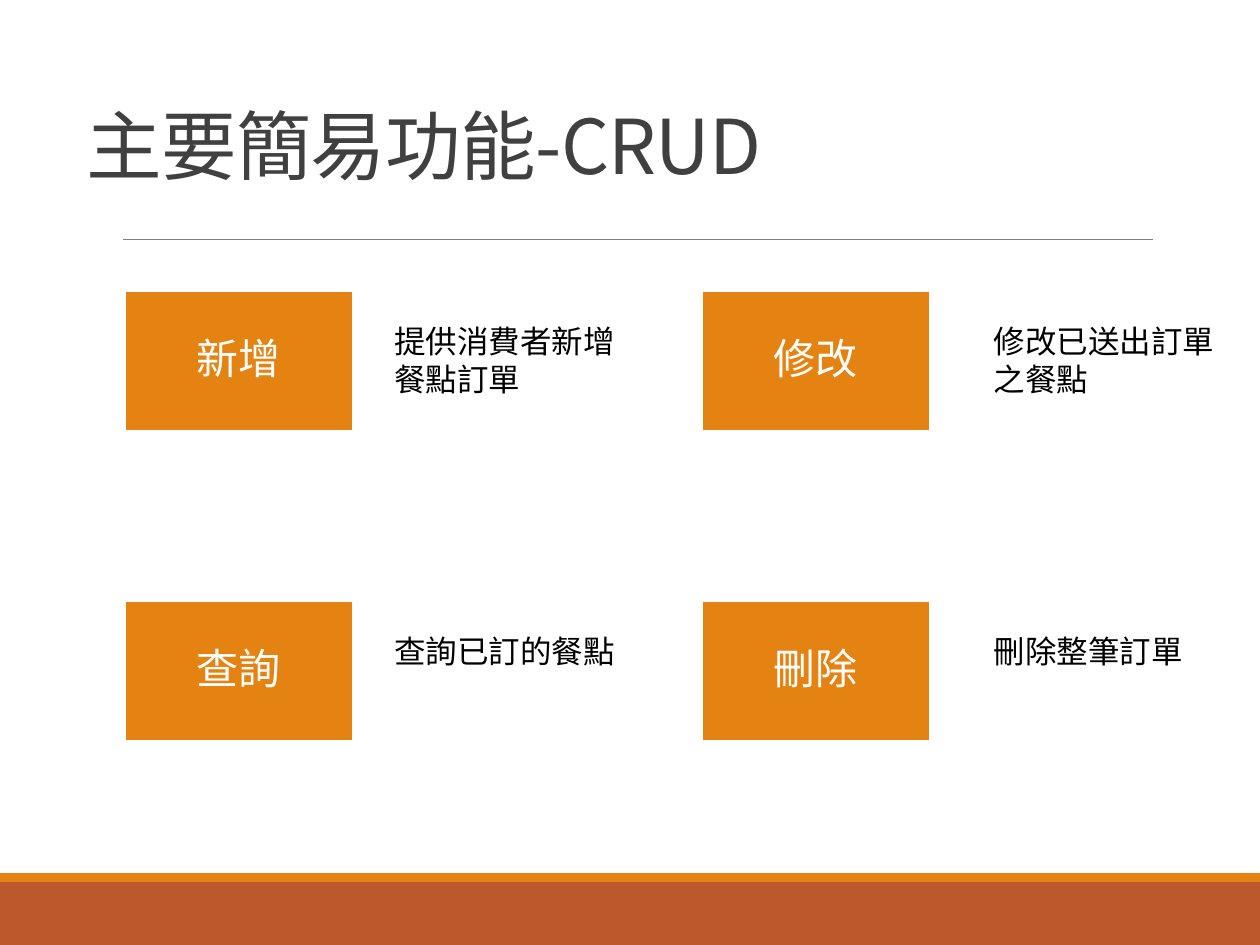
from lxml.etree import SubElement
from pptx import Presentation
from pptx.dml.color import RGBColor
from pptx.enum.shapes import MSO_CONNECTOR, MSO_SHAPE
from pptx.enum.text import MSO_ANCHOR, PP_ALIGN
from pptx.oxml.ns import qn
from pptx.util import Inches, Pt

COLORS = {"rust": "BD582C", "orange": "E48312", "rule": "808080",
          "title": "404040", "body": "000000", "white": "FFFFFF"}
CJK_FONT = "Noto Sans CJK SC"

deck = Presentation()
deck.slide_width, deck.slide_height = Inches(10), Inches(7.5)
slide = deck.slides.add_slide(deck.slide_layouts[6])


def add_block(left, top, width, height, color, outline=None):
    block = slide.shapes.add_shape(MSO_SHAPE.RECTANGLE, Inches(left), Inches(top),
                                   Inches(width), Inches(height))
    block.shadow.inherit = False
    block.fill.solid()
    block.fill.fore_color.rgb = RGBColor.from_string(COLORS[color])
    if outline:
        block.line.color.rgb = RGBColor.from_string(COLORS[outline])
        block.line.width = Pt(1.25)
    else:
        block.line.fill.background()
    return block


def write(holder, text, size, color, font=CJK_FONT, align=PP_ALIGN.LEFT,
          anchor=MSO_ANCHOR.TOP, line_spacing=1.0, inset=None, tracking=None):
    frame = holder.text_frame
    frame.word_wrap = True
    frame.vertical_anchor = anchor
    if inset is not None:
        frame.margin_left = frame.margin_right = Inches(inset)
        frame.margin_top = frame.margin_bottom = Inches(inset)
    paragraph = frame.paragraphs[0]
    paragraph.alignment = align
    paragraph.line_spacing = line_spacing
    run = paragraph.add_run()
    run.text = text
    run.font.size = Pt(size)
    run.font.name = font
    run.font.color.rgb = RGBColor.from_string(COLORS[color])
    properties = run.font._element
    SubElement(properties, qn("a:ea")).set("typeface", CJK_FONT)
    if tracking:
        properties.set("spc", str(tracking))


add_block(0, 7, 10, 0.5, "rust")
add_block(0, 6.93, 10, 0.07, "orange")

divider = slide.shapes.add_connector(MSO_CONNECTOR.STRAIGHT, Inches(0.98), Inches(1.9),
                                     Inches(9.15), Inches(1.9))
divider.line.color.rgb = RGBColor.from_string(COLORS["rule"])
divider.line.width = Pt(0.5)
SubElement(divider._element.spPr, qn("a:effectLst"))

title = slide.shapes.add_textbox(Inches(0.59), Inches(0.67), Inches(6.01), Inches(0.89))
write(title, "主要簡易功能-CRUD", 43.2, "title", anchor=MSO_ANCHOR.BOTTOM,
      line_spacing=0.85, tracking=-50)

ROWS = (2.31, 4.77)
COLUMNS = ((0.99, 3.03), (5.57, 7.79))
FEATURES = (
    (("新增", "提供消費者新增餐點訂單"), ("修改", "修改已送出訂單之餐點")),
    (("查詢", "查詢已訂的餐點"), ("刪除", "刪除整筆訂單")),
)
for top, features in zip(ROWS, FEATURES):
    for (block_left, note_left), (action, description) in zip(COLUMNS, features):
        block = add_block(block_left, top, 1.81, 1.11, "orange", outline="white")
        write(block, action, 24, "white", align=PP_ALIGN.CENTER,
              anchor=MSO_ANCHOR.MIDDLE, line_spacing=0.9, inset=0.02)
        note = slide.shapes.add_textbox(Inches(note_left), Inches(top + 0.2),
                                        Inches(2.13), Inches(0.71))
        write(note, description, 18, "body", font="Calibri")

deck.save("out.pptx")
